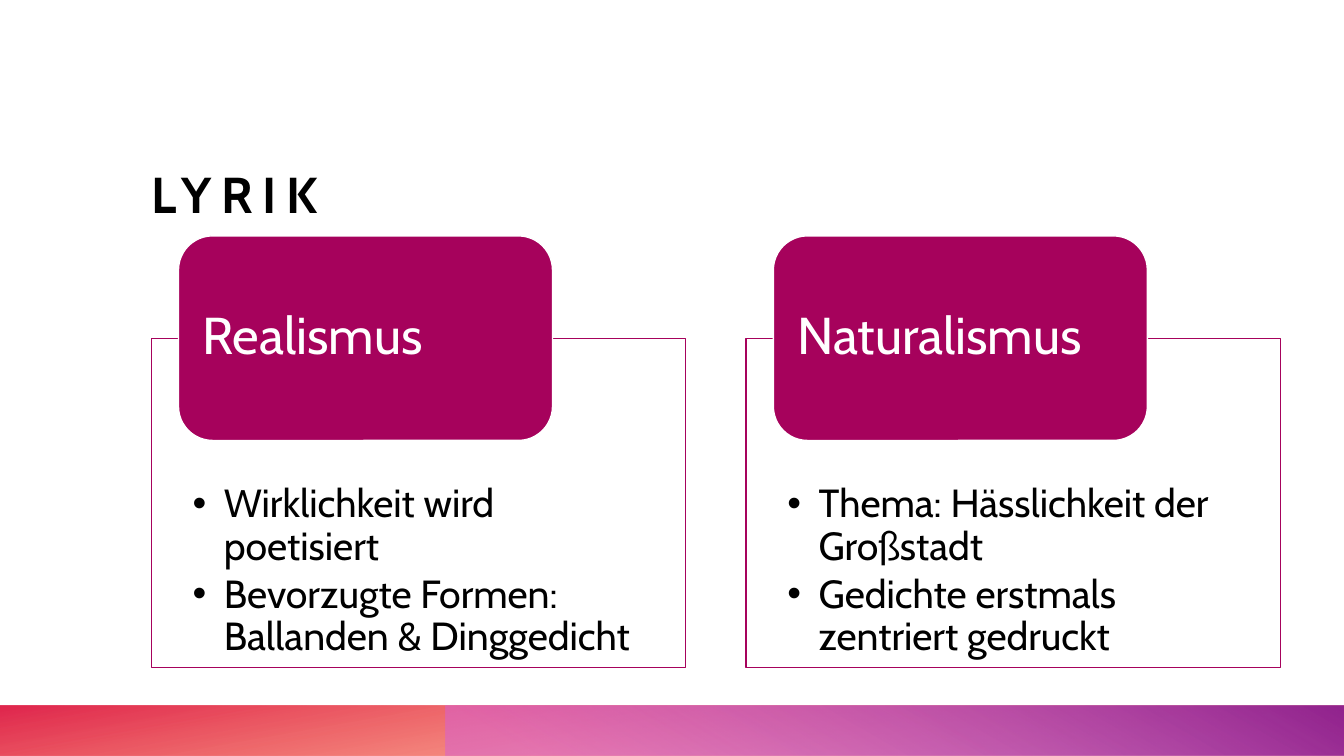
from lxml import etree
from pptx import Presentation
from pptx.dml.color import RGBColor
from pptx.enum.shapes import MSO_SHAPE
from pptx.enum.text import MSO_ANCHOR, MSO_AUTO_SIZE, PP_ALIGN
from pptx.oxml import parse_xml
from pptx.oxml.ns import nsdecls, qn
from pptx.util import Inches, Pt

RECTANGLE = MSO_SHAPE.RECTANGLE
ROUNDED = MSO_SHAPE.ROUNDED_RECTANGLE
TOP, MIDDLE, BOTTOM = MSO_ANCHOR.TOP, MSO_ANCHOR.MIDDLE, MSO_ANCHOR.BOTTOM
NO_AUTOFIT = MSO_AUTO_SIZE.NONE
LEFT = PP_ALIGN.LEFT
FONT = "Cabin"
BERRY, WHITE, BLACK = "A6025C", "FFFFFF", "000000"


def color(value):
    return RGBColor.from_string(value)


def format_text(shape, size, text_color, anchor, margins):
    frame = shape.text_frame
    frame.word_wrap = True
    frame.auto_size = NO_AUTOFIT
    frame.vertical_anchor = anchor
    frame.margin_left = frame.margin_right = Inches(margins[0])
    frame.margin_top, frame.margin_bottom = Inches(margins[1]), Inches(margins[2])
    for paragraph in frame.paragraphs:
        paragraph.alignment = LEFT
        paragraph.space_before = Pt(0)
        paragraph.font.name = FONT
        paragraph.font.size = Pt(size)
        paragraph.font.color.rgb = color(text_color)


presentation = Presentation()
presentation.slide_width = Inches(13.33)
presentation.slide_height = Inches(7.5)
slide = presentation.slides.add_slide(presentation.slide_layouts[3])

footer_bars = [
    (0, 13.33, 180, 100, [(14, "FE4A00", 28), (100, "DA002F", 85)]),
    (4.42, 8.92, 0, 240, [(9, "D861D4", 55), (99, "92248E", 100)]),
]
for left, width, rotation, angle, stops in footer_bars:
    bar = slide.shapes.add_shape(RECTANGLE, Inches(left), Inches(7), Inches(width), Inches(0.5))
    bar.shadow.inherit = False
    bar.line.fill.background()
    bar.rotation = rotation
    properties = bar._element.spPr
    properties.find(qn("a:xfrm")).set("flipH", "1")
    stop_xml = "".join(
        f'<a:gs pos="{position * 1000}"><a:srgbClr val="{value}">'
        f'<a:alpha val="{opacity * 1000}"/></a:srgbClr></a:gs>'
        for position, value, opacity in stops
    )
    gradient = parse_xml(
        f'<a:gradFill {nsdecls("a")} rotWithShape="1"><a:gsLst>{stop_xml}</a:gsLst>'
        f'<a:lin ang="{angle * 60000}" scaled="0"/></a:gradFill>'
    )
    properties.find(qn("a:prstGeom")).addnext(gradient)

title = slide.shapes.title
title.left, title.top = Inches(1.5), Inches(0.87)
title.width, title.height = Inches(11.2), Inches(1.35)
title.text_frame.text = "LYRIK"
format_text(title, 36, BLACK, BOTTOM, (0, 0, 0))
title_font = title.text_frame.paragraphs[0].font
title_font.bold = True
title_font._element.set("spc", "700")

movements = [
    ("Realismus", ["Wirklichkeit wird poetisiert", "Bevorzugte Formen: Ballanden & Dinggedicht"]),
    ("Naturalismus", ["Thema: Hässlichkeit der Großstadt", "Gedichte erstmals zentriert gedruckt"]),
]
for index, (heading, points) in enumerate(movements):
    left = 1.5 + index * 5.9
    body = slide.placeholders[index + 1]
    body.left, body.top = Inches(left), Inches(3.36)
    body.width, body.height = Inches(5.3), Inches(3.26)
    body.fill.solid()
    body.fill.fore_color.rgb = color(WHITE)
    body.line.color.rgb = color(BERRY)
    body.line.width = Pt(1)
    body.text_frame.text = "\n".join(points)
    format_text(body, 28, BLACK, TOP, (0.41, 1.44, 0.22))
    for paragraph in body.text_frame.paragraphs:
        paragraph.line_spacing = 0.9
        paragraph.space_after = Pt(4)
        paragraph_properties = paragraph._p.get_or_add_pPr()
        paragraph_properties.set("marL", str(Inches(0.31)))
        paragraph_properties.set("indent", str(-Inches(0.31)))
        bullet = etree.Element(qn("a:buChar"), char="•")
        paragraph_properties.find(qn("a:defRPr")).addprevious(bullet)

    label = slide.shapes.add_shape(
        ROUNDED, Inches(left + 0.27), Inches(2.34), Inches(3.71), Inches(2.03)
    )
    label.shadow.inherit = False
    label.fill.solid()
    label.fill.fore_color.rgb = color(BERRY)
    label.line.color.rgb = color(WHITE)
    label.line.width = Pt(1)
    label.text_frame.text = heading
    format_text(label, 37, WHITE, MIDDLE, (0.14, 0, 0))
    label.text_frame.paragraphs[0].line_spacing = 0.9

presentation.save("out.pptx")
